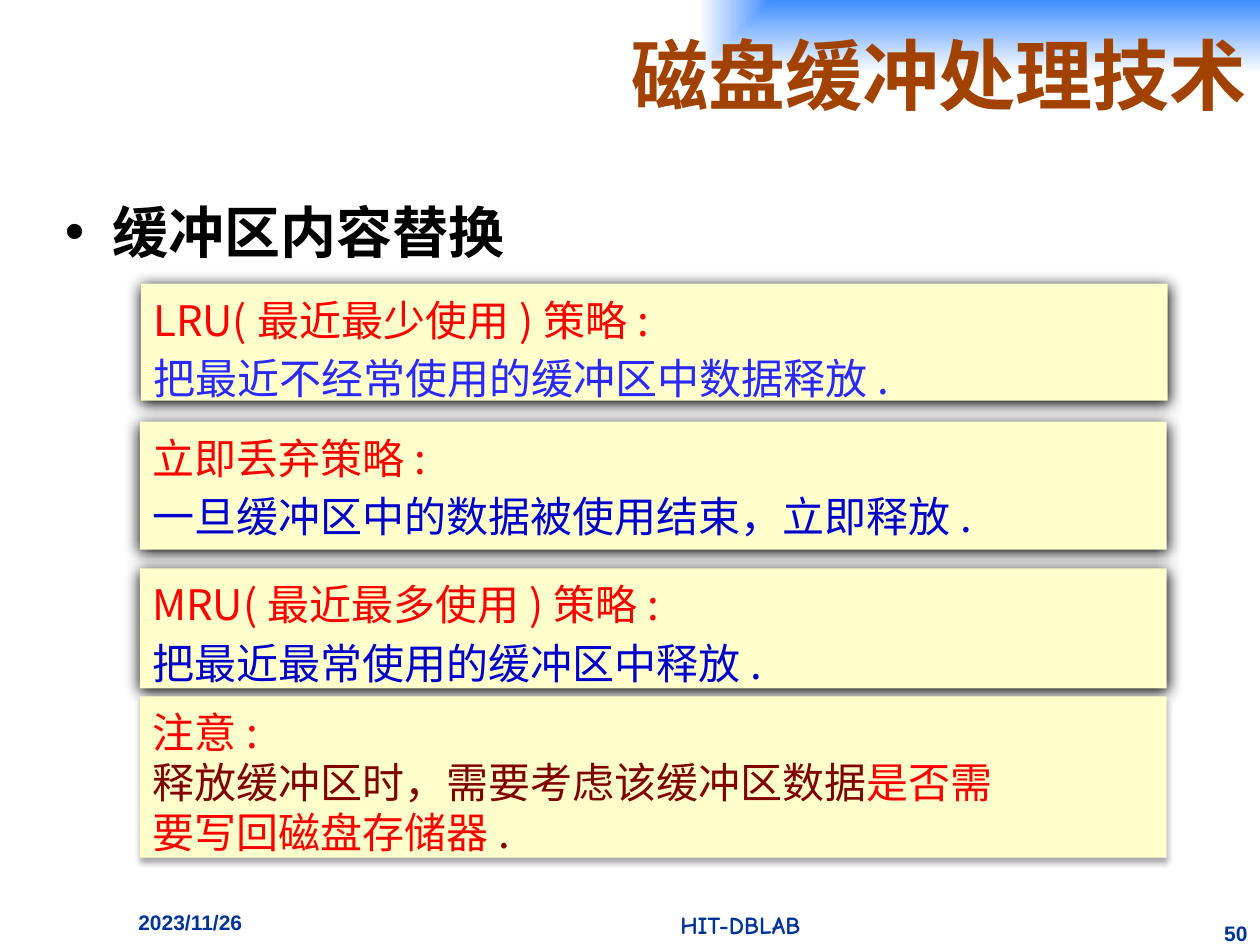
"""Build the slide on disk buffer replacement strategies."""
from dataclasses import dataclass

from lxml import etree
from pptx import Presentation
from pptx.dml.color import RGBColor
from pptx.enum.shapes import MSO_SHAPE
from pptx.enum.text import MSO_ANCHOR, MSO_AUTO_SIZE, PP_ALIGN
from pptx.oxml import parse_xml
from pptx.oxml.ns import qn
from pptx.util import Cm, Pt

RECTANGLE = MSO_SHAPE.RECTANGLE
TOP, MIDDLE = MSO_ANCHOR.TOP, MSO_ANCHOR.MIDDLE
NO_AUTOFIT = MSO_AUTO_SIZE.NONE
LEFT, CENTER, RIGHT = PP_ALIGN.LEFT, PP_ALIGN.CENTER, PP_ALIGN.RIGHT
NAMESPACE = 'xmlns:a="http://schemas.openxmlformats.org/drawingml/2006/main"'


@dataclass(frozen=True)
class Theme:
    title_font: str = "Noto Sans CJK SC"
    text_font: str = "Noto Sans CJK JP"
    footer_font: str = "Arial"
    lab_font: str = "Comic Neue"
    title_size: float = 44
    body_size: float = 32
    note_size: float = 24
    lab_size: float = 14
    footer_size: float = 12
    line_factor: float = 1.19
    space_factor: float = 0.2
    title: str = "A24200"
    black: str = "000000"
    footer: str = "003399"
    panel: str = "FFFFCC"
    red: str = "FF0000"
    violet: str = "2929FF"
    blue: str = "0000CC"
    maroon: str = "800000"
    gradient_start: str = "3F8DFF"
    gradient_end: str = "FFFFFF"


@dataclass(frozen=True)
class Box:
    left: float
    top: float
    width: float
    height: float


@dataclass(frozen=True)
class Span:
    text: str
    color: str


@dataclass(frozen=True)
class Shadow:
    opacity: int
    blur: float
    distance: float


@dataclass(frozen=True)
class Panel:
    box: Box
    lines: tuple[tuple[Span, ...], ...]
    shadow: Shadow
    spaced: bool = True


@dataclass(frozen=True)
class Footer:
    box: Box
    text: str
    font: str
    size: float
    alignment: PP_ALIGN


THEME = Theme()
STRONG = Shadow(100, 8.5, 1)
SOFT = Shadow(32, 3.5, 2.2)
PANELS = (
    Panel(Box(2.84, 5.72, 20.7, 2.36),
          ((Span("LRU(最近最少使用)策略:", THEME.red),),
           (Span("把最近不经常使用的缓冲区中数据释放.", THEME.violet),)), STRONG),
    Panel(Box(2.82, 8.5, 20.7, 2.58),
          ((Span("立即丢弃策略:", THEME.red),),
           (Span("一旦缓冲区中的数据被使用结束，立即释放.", THEME.blue),)), STRONG),
    Panel(Box(2.82, 11.46, 20.7, 2.42),
          ((Span("MRU(最近最多使用)策略:", THEME.red),),
           (Span("把最近最常使用的缓冲区中释放.", THEME.blue),)), STRONG),
    Panel(Box(2.82, 14.04, 20.7, 3.25),
          ((Span("注意:", THEME.red),),
           (Span("释放缓冲区时，需要考虑该缓冲区数据", THEME.maroon),
            Span("是否需", THEME.red)),
           (Span("要写回磁盘存储器", THEME.red), Span(".", THEME.maroon))), SOFT, False),
)
FOOTERS = (
    Footer(Box(2.54, 18.21, 4.45, 0.84), "2023/11/26",
           THEME.footer_font, THEME.footer_size, LEFT),
    Footer(Box(8.89, 18.21, 12.07, 0.84), "HIT-DBLAB",
           THEME.lab_font, THEME.lab_size, CENTER),
    Footer(Box(24.33, 18.42, 1.07, 0.63), "50",
           THEME.footer_font, THEME.footer_size, RIGHT),
)


def lengths(box: Box) -> tuple[Cm, ...]:
    """Return the box as left, top, width and height."""
    return Cm(box.left), Cm(box.top), Cm(box.width), Cm(box.height)


def place(shape, box: Box) -> None:
    """Move and size a placeholder."""
    shape.left, shape.top, shape.width, shape.height = lengths(box)


def prepare_frame(shape, anchor: MSO_ANCHOR, top_margin: float = 0.13):
    """Set the wrapping, anchor and margins of a text frame and return it."""
    frame = shape.text_frame
    frame.word_wrap = True
    frame.auto_size = NO_AUTOFIT
    frame.vertical_anchor = anchor
    frame.margin_left = frame.margin_right = Cm(0.25)
    frame.margin_top, frame.margin_bottom = Cm(top_margin), Cm(0.13)
    return frame


def add_span(paragraph, span: Span, font: str, size: float, bold: bool = False) -> None:
    """Add one formatted run, with the same font for Latin and Chinese text."""
    run = paragraph.add_run()
    run.text = span.text
    run.font.name = font
    run.font.size = Pt(size)
    run.font.bold = bold
    run.font.color.rgb = RGBColor.from_string(span.color)
    latin = run.font._element.find(qn("a:latin"))
    latin.addnext(parse_xml(f'<a:ea {NAMESPACE} typeface="{font}"/>'))


def set_hanging_indent(paragraph, indent: float, bullet: str = "") -> None:
    """Give a paragraph a hanging indent and an optional bullet."""
    properties = paragraph._p.get_or_add_pPr()
    properties.set("marL", str(Cm(indent)))
    properties.set("indent", str(-Cm(indent)))
    if bullet:
        etree.SubElement(properties, qn("a:buChar")).set("char", bullet)


def add_title(slide) -> None:
    """Fill the title placeholder over its corner gradient."""
    shape = slide.shapes.title
    place(shape, Box(2.74, 0, 22.66, 2.97))
    shape._element.spPr.append(parse_xml(
        f'<a:gradFill {NAMESPACE} rotWithShape="1"><a:gsLst>'
        f'<a:gs pos="0"><a:srgbClr val="{THEME.gradient_start}"/></a:gs>'
        f'<a:gs pos="100000"><a:srgbClr val="{THEME.gradient_end}"/></a:gs></a:gsLst>'
        '<a:path path="rect"><a:fillToRect l="100000" b="100000"/></a:path></a:gradFill>'))
    paragraph = prepare_frame(shape, MIDDLE).paragraphs[0]
    paragraph.alignment = RIGHT
    add_span(paragraph, Span("磁盘缓冲处理技术", THEME.title),
             THEME.title_font, THEME.title_size, True)


def add_body(slide) -> None:
    """Fill the body placeholder with the bulleted heading."""
    shape = slide.placeholders[1]
    place(shape, Box(1.06, 3.73, 22.86, 1.48))
    paragraph = prepare_frame(shape, TOP, 0.26).paragraphs[0]
    set_hanging_indent(paragraph, 0.95, "•")
    paragraph.space_before = Pt(0)
    paragraph.line_spacing = Pt(THEME.body_size * THEME.line_factor)
    add_span(paragraph, Span("缓冲区内容替换", THEME.black),
             THEME.text_font, THEME.body_size, True)


def add_shadow(shape, shadow: Shadow) -> None:
    """Give a shape a shadow that falls straight down."""
    shape.shadow.inherit = False
    effects = shape._element.spPr.find(qn("a:effectLst"))
    effects.append(parse_xml(
        f'<a:outerShdw {NAMESPACE} blurRad="{Pt(shadow.blur)}" '
        f'dist="{Pt(shadow.distance)}" dir="5400000" rotWithShape="0">'
        f'<a:srgbClr val="{THEME.black}"><a:alpha val="{shadow.opacity * 1000}"/>'
        '</a:srgbClr></a:outerShdw>'))


def add_panel(slide, panel: Panel) -> None:
    """Draw a strategy panel with its lines."""
    shape = slide.shapes.add_shape(RECTANGLE, *lengths(panel.box))
    shape.fill.solid()
    shape.fill.fore_color.rgb = RGBColor.from_string(THEME.panel)
    shape.line.fill.background()
    add_shadow(shape, panel.shadow)
    frame = prepare_frame(shape, TOP, 0.22)
    for index, spans in enumerate(panel.lines):
        paragraph = frame.add_paragraph() if index else frame.paragraphs[0]
        set_hanging_indent(paragraph, 0.79)
        paragraph.alignment = LEFT
        paragraph.line_spacing = Pt(THEME.note_size * THEME.line_factor)
        if index and panel.spaced:
            paragraph.space_before = Pt(THEME.note_size * THEME.space_factor)
        for span in spans:
            add_span(paragraph, span, THEME.text_font, THEME.note_size)


def add_footer(slide, footer: Footer) -> None:
    """Add one footer text."""
    shape = slide.shapes.add_textbox(*lengths(footer.box))
    paragraph = prepare_frame(shape, TOP).paragraphs[0]
    paragraph.alignment = footer.alignment
    add_span(paragraph, Span(footer.text, THEME.footer), footer.font, footer.size, True)


def main() -> None:
    """Build and save the presentation."""
    presentation = Presentation()
    presentation.slide_width, presentation.slide_height = Cm(25.4), Cm(19.05)
    slide = presentation.slides.add_slide(presentation.slide_layouts[1])
    add_title(slide)
    add_body(slide)
    for footer in FOOTERS:
        add_footer(slide, footer)
    for panel in PANELS:
        add_panel(slide, panel)
    presentation.save("out.pptx")


if __name__ == "__main__":
    main()
